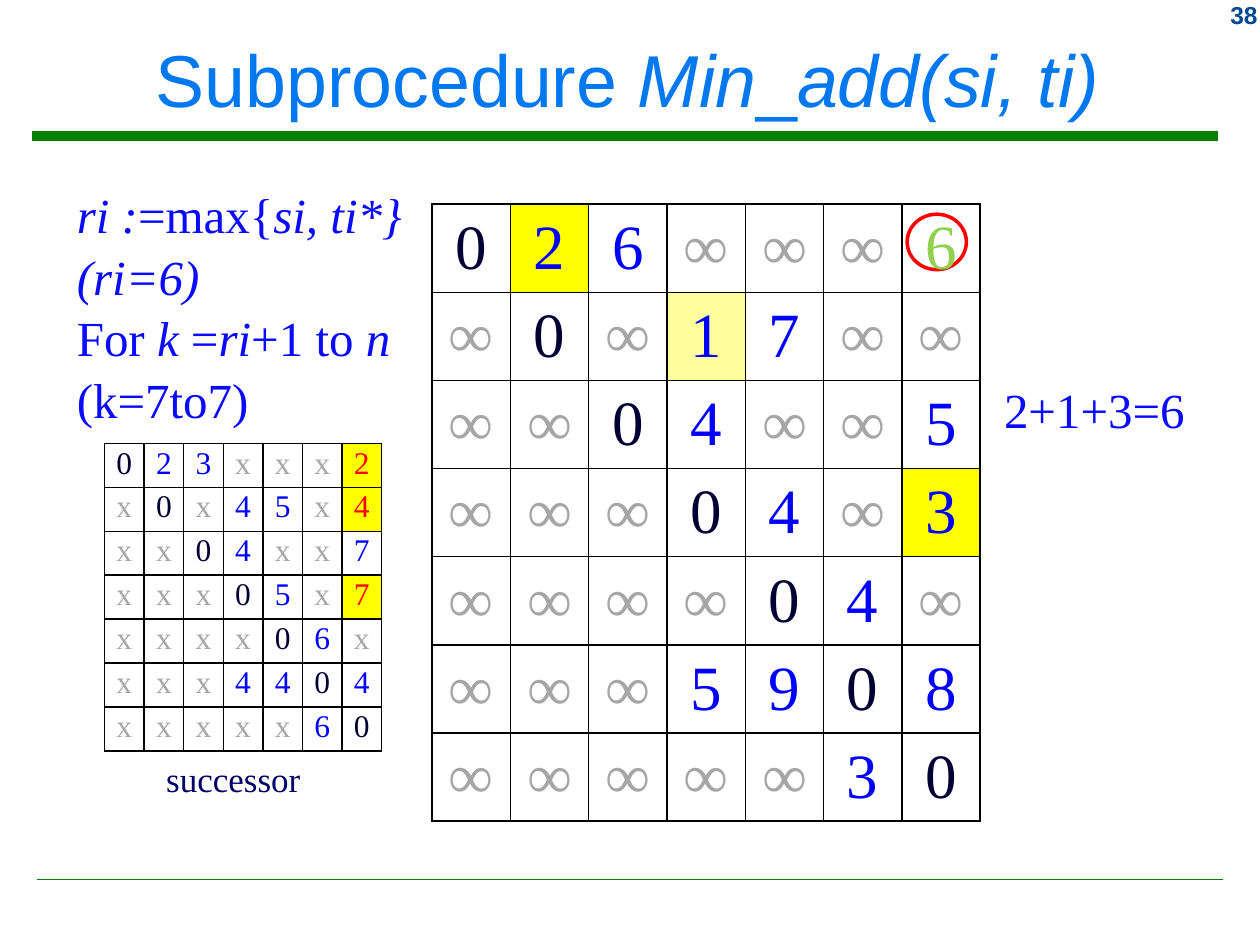
import dataclasses
import typing

import lxml.etree
import pptx
import pptx.dml.color
import pptx.enum.shapes
import pptx.enum.text
import pptx.oxml.ns
import pptx.util

WIDE, HIGH = pptx.util.Inches(10), pptx.util.Inches(7.5)
SANS, SERIF = "Arial", "Times New Roman"
INK = {
    "title": "0078F0", "number": "004992", "body": "0A0AFF",
    "label": "000066", "zero": "000033", "value": "0000FF",
    "blank": "A6A6A6", "red": "FF0000", "green": "92D050",
    "rule": "008000", "grid": "000000",
    "yellow": "FFFF00", "pale": "FFFF9E",
}
ALIGN = pptx.enum.text.PP_ALIGN
ANCHOR = pptx.enum.text.MSO_ANCHOR
qn = pptx.oxml.ns.qn


@dataclasses.dataclass(frozen=True)
class Box:
    """Place and size in percent of the slide's width and height."""
    left: float
    top: float
    wide: float
    high: float

    def emu(self) -> tuple[int, int, int, int]:
        return (across(self.left), down(self.top),
                across(self.wide), down(self.high))


@dataclasses.dataclass(frozen=True)
class Font:
    name: str
    size: float
    ink: str
    bold: bool = False


class Mark(typing.NamedTuple):
    fill: str | None
    ink: str | None


@dataclasses.dataclass(frozen=True)
class Matrix:
    box: Box
    rows: list[str]
    size: float
    marks: dict[tuple[int, int], Mark]
    anchor: typing.Any
    pad: tuple[float, float]


def across(share: float) -> int:
    return round(WIDE * share / 100)


def down(share: float) -> int:
    return round(HIGH * share / 100)


def color(name: str) -> pptx.dml.color.RGBColor:
    return pptx.dml.color.RGBColor.from_string(INK[name])


def style(run: typing.Any, font: Font, slant: bool = False) -> None:
    run.font.name, run.font.size = font.name, pptx.util.Pt(font.size)
    run.font.bold, run.font.italic = font.bold, slant
    run.font.color.rgb = color(font.ink)


def write(shape: typing.Any, lines: list[str], font: Font,
          align: typing.Any = ALIGN.LEFT, pitch: float = 1.0,
          wrap: bool = True) -> None:
    """Fill a shape with lines in which each | turns italics on or off."""
    frame = shape.text_frame
    frame.word_wrap = wrap
    frame.auto_size = pptx.enum.text.MSO_AUTO_SIZE.NONE
    for at, line in enumerate(lines):
        para = frame.add_paragraph() if at else frame.paragraphs[0]
        para.alignment, para.line_spacing = align, pitch
        para.space_before = pptx.util.Pt(0)
        for turn, part in enumerate(line.split("|")):
            if part:
                run = para.add_run()
                run.text = part
                style(run, font, turn % 2 == 1)


def unlist(shape: typing.Any) -> None:
    """Take bullets and indents off every paragraph."""
    for para in shape.text_frame.paragraphs:
        prop = para._p.get_or_add_pPr()
        prop.set("marL", "0")
        prop.set("indent", "0")
        lxml.etree.SubElement(prop, qn("a:buNone"))


def place(shape: typing.Any, box: Box) -> None:
    shape.left, shape.top, shape.width, shape.height = box.emu()


def rule(slide: typing.Any, left: float, top: float, size: float) -> None:
    line = slide.shapes.add_connector(
        pptx.enum.shapes.MSO_CONNECTOR.STRAIGHT, across(left), down(top),
        across(left + 94.2), down(top))
    line.line.color.rgb = color("rule")
    line.line.width = pptx.util.Pt(size)
    lxml.etree.SubElement(line._element.spPr, qn("a:effectLst"))


def border(cell: typing.Any) -> None:
    prop = cell._tc.get_or_add_tcPr()
    for side in ("lnL", "lnR", "lnT", "lnB"):
        edge = lxml.etree.SubElement(prop, qn(f"a:{side}"),
                                     w=str(pptx.util.Pt(1)))
        fill = lxml.etree.SubElement(edge, qn("a:solidFill"))
        lxml.etree.SubElement(fill, qn("a:srgbClr"), val=INK["grid"])


def draw(slide: typing.Any, grid: Matrix) -> None:
    cells = [row.split() for row in grid.rows]
    count = len(cells)
    table = slide.shapes.add_table(count, count, *grid.box.emu()).table
    table.first_row = table.horz_banding = False
    for col in table.columns:
        col.width = across(grid.box.wide / count)
    for row in table.rows:
        row.height = down(grid.box.high / count)
    for r, row in enumerate(cells):
        for c, text in enumerate(row):
            cell = table.cell(r, c)
            mark = grid.marks.get((r, c), Mark(None, None))
            border(cell)
            if mark.fill:
                cell.fill.solid()
                cell.fill.fore_color.rgb = color(mark.fill)
            else:
                cell.fill.background()
            side, edge = map(pptx.util.Inches, grid.pad)
            cell.margin_left = cell.margin_right = side
            cell.margin_top = cell.margin_bottom = edge
            cell.vertical_anchor = grid.anchor
            kind = {"0": "zero", "∞": "blank", "x": "blank"}.get(text, "value")
            para = cell.text_frame.paragraphs[0]
            para.text, para.alignment = text, ALIGN.CENTER
            style(para.runs[0], Font(SERIF, grid.size, mark.ink or kind))


LIT, HOT = Mark("yellow", None), Mark("yellow", "red")
COST = Matrix(
    Box(34.3, 21.6, 43.5, 65.33),
    ["0 2 6 ∞ ∞ ∞ 6", "∞ 0 ∞ 1 7 ∞ ∞", "∞ ∞ 0 4 ∞ ∞ 5", "∞ ∞ ∞ 0 4 ∞ 3",
     "∞ ∞ ∞ ∞ 0 4 ∞", "∞ ∞ ∞ 5 9 0 8", "∞ ∞ ∞ ∞ ∞ 3 0"],
    36,
    {(0, 1): LIT, (0, 6): Mark(None, "green"),
     (1, 3): Mark("pale", None), (3, 6): LIT},
    ANCHOR.MIDDLE, (0.1, 0.05))
NEXT = Matrix(
    Box(8.3, 46.93, 22, 32.53),
    ["0 2 3 x x x 2", "x 0 x 4 5 x 4", "x x 0 4 x x 7", "x x x 0 5 x 7",
     "x x x x 0 6 x", "x x x 4 4 0 4", "x x x x x 6 0"],
    18, {(0, 6): HOT, (1, 6): HOT, (3, 6): HOT},
    ANCHOR.TOP, (0.05, 0.02))


def main() -> None:
    deck = pptx.Presentation()
    deck.slide_width, deck.slide_height = WIDE, HIGH
    slide = deck.slides.add_slide(deck.slide_layouts[1])
    title, body = slide.placeholders

    rule(slide, 2.5, 14.4, 5.25)
    rule(slide, 2.9, 93.07, 1)

    place(title, Box(0.8, 1.2, 98, 14.13))
    write(title, ["Subprocedure |Min|_|add(si, ti)"],
          Font(SANS, 42, "title"), ALIGN.CENTER)
    title.text_frame.vertical_anchor = ANCHOR.MIDDLE

    text = Font(SERIF, 28, "body")
    place(body, Box(5.1, 18.53, 32.3, 26.53))
    write(body, ["|ri :|=max{|si, ti*}", "|(ri=6)",
                 "For |k |=|ri|+1 to |n", "(k=7to7)"], text, pitch=1.05)
    unlist(body)

    number = slide.shapes.add_textbox(*Box(91.7, -0.67, 9.1, 4.4).emu())
    write(number, ["38"], Font(SANS, 14, "number", True), ALIGN.RIGHT)
    label = slide.shapes.add_textbox(*Box(12.2, 79.33, 12.8, 5.87).emu())
    write(label, ["successor"], Font(SERIF, 20, "label"), pitch=1.05,
          wrap=False)
    total = slide.shapes.add_textbox(*Box(78.7, 39.2, 22.8, 7.6).emu())
    write(total, ["2+1+3=6"], text, pitch=1.05)

    ring = slide.shapes.add_shape(pptx.enum.shapes.MSO_SHAPE.OVAL,
                                  *Box(72, 22.67, 4.7, 5.87).emu())
    ring.shadow.inherit = False
    ring.fill.background()
    ring.line.color.rgb = color("red")
    ring.line.width = pptx.util.Pt(2)

    for grid in (COST, NEXT):
        draw(slide, grid)
    deck.save("out.pptx")


if __name__ == "__main__":
    main()
